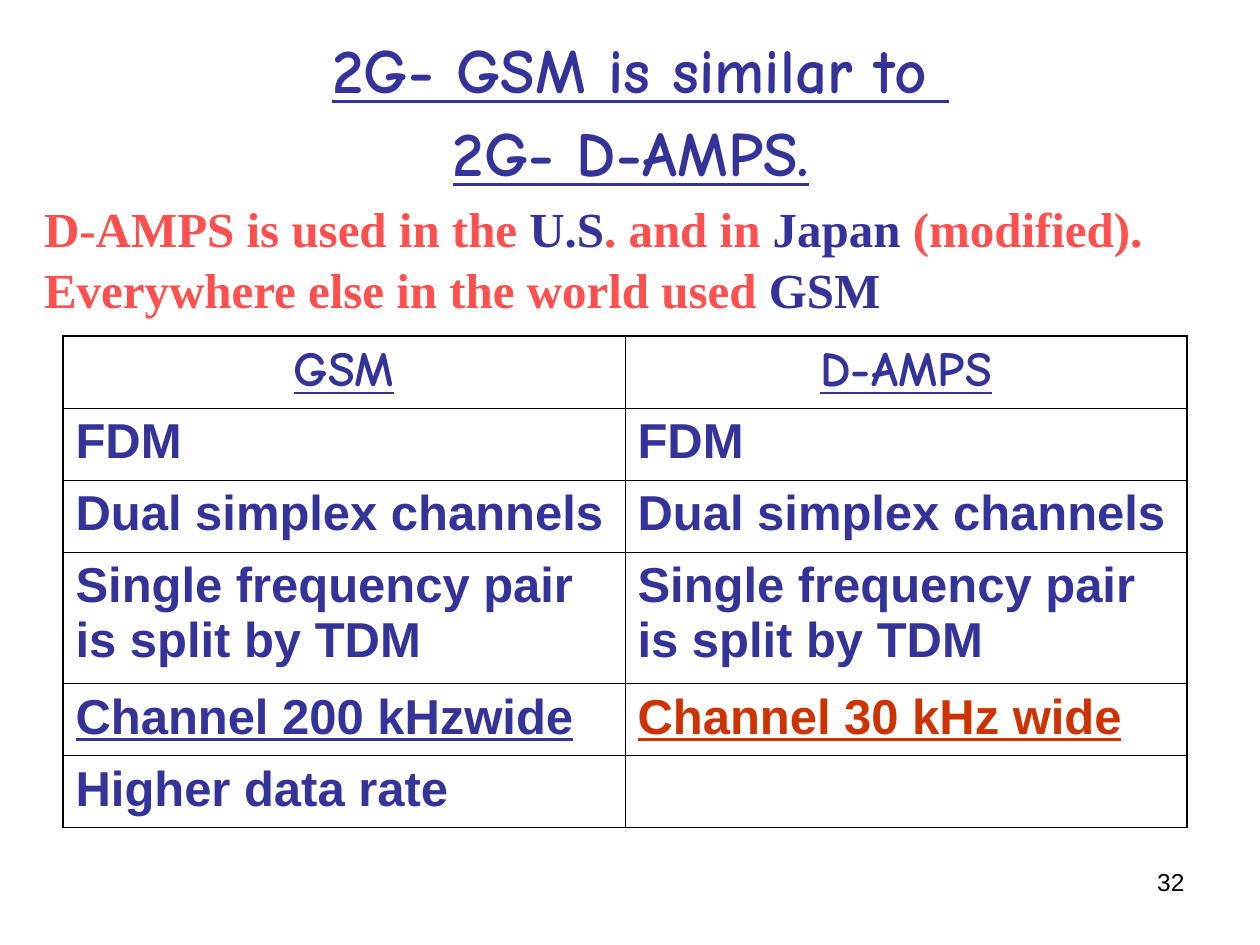
import dataclasses
import typing

import pptx
import pptx.dml.color
import pptx.enum.text
import pptx.oxml
import pptx.oxml.ns
import pptx.util

Cm = pptx.util.Cm
Align = pptx.enum.text.PP_ALIGN
COLOURS = {"navy": "333399", "coral": "FF5050", "rust": "CC3300", "black": "000000"}
OUTER_LINE, INNER_LINE = 1.08, 0.45
ROW_HEIGHTS = (1.45, 1.45, 1.45, 2.65, 1.45, 1.45)
COLUMN_WIDTH = 11.33


@dataclasses.dataclass(frozen=True)
class Span:
    text: str
    colour: str = "navy"
    name: str = "Arial"
    size: float = 28
    bold: bool = True
    underline: bool = False


def heading(text: str, size: float = 28) -> Span:
    return Span(text, name="Comic Neue", size=size, underline=True)


def serif(text: str, colour: str) -> Span:
    return Span(text, colour, "Times New Roman")


ROWS = (
    (heading("GSM"), heading("D-AMPS")),
    (Span("FDM "), Span("FDM ")),
    (Span("Dual simplex channels"), Span("Dual simplex channels")),
    (Span("Single frequency pair is split by TDM"),
     Span("Single frequency pair is split by TDM")),
    (Span("Channel 200 kHzwide", underline=True),
     Span("Channel 30 kHz wide", "rust", underline=True)),
    (Span("Higher data rate"), None),
)


def write_spans(para: typing.Any, spans: typing.Iterable[Span], **layout: typing.Any) -> None:
    for key, value in layout.items():
        setattr(para, key, value)
    for span in spans:
        for index, line in enumerate(span.text.split("\n")):
            if index:
                para.add_line_break()
            run = para.add_run()
            run.text = line
            formats = {"name": span.name, "size": pptx.util.Pt(span.size),
                       "bold": span.bold, "underline": span.underline}
            for key, value in formats.items():
                setattr(run.font, key, value)
            run.font.color.rgb = pptx.dml.color.RGBColor.from_string(COLOURS[span.colour])


def prepare_frame(box: typing.Any, anchor: typing.Any) -> typing.Any:
    formats = {"word_wrap": True, "auto_size": pptx.enum.text.MSO_AUTO_SIZE.NONE,
               "vertical_anchor": anchor}
    for key, value in formats.items():
        setattr(box.text_frame, key, value)
    return box.text_frame.paragraphs[0]


def add_text(page: typing.Any, place: tuple, spans: typing.Iterable[Span],
             **layout: typing.Any) -> None:
    box = page.shapes.add_textbox(*map(Cm, place))
    para = prepare_frame(box, pptx.enum.text.MSO_ANCHOR.TOP)
    write_spans(para, spans, **layout)


def set_borders(cell: typing.Any, row: int, column: int) -> None:
    outer_sides = {"lnL": column == 0, "lnR": column == 1,
                   "lnT": row == 0, "lnB": row == len(ROWS) - 1}
    properties = cell._tc.get_or_add_tcPr()
    for position, (side, outer) in enumerate(outer_sides.items()):
        width = pptx.util.Pt(OUTER_LINE if outer else INNER_LINE)
        properties.insert(position, pptx.oxml.parse_xml(
            f'<a:{side} {pptx.oxml.ns.nsdecls("a")} w="{int(width)}"><a:solidFill>'
            f'<a:srgbClr val="{COLOURS["black"]}"/></a:solidFill></a:{side}>'))


def add_comparison(page: typing.Any) -> None:
    frame = page.shapes.add_table(len(ROWS), 2, Cm(1.27), Cm(6.78),
                                  Cm(2 * COLUMN_WIDTH), Cm(sum(ROW_HEIGHTS)))
    table = frame.table
    table.first_row = table.horz_banding = False
    for column in table.columns:
        column.width = Cm(COLUMN_WIDTH)
    for row, (height, spans) in enumerate(zip(ROW_HEIGHTS, ROWS)):
        table.rows[row].height = Cm(height)
        for column, span in enumerate(spans):
            cell = table.cell(row, column)
            cell.fill.background()
            set_borders(cell, row, column)
            if span:
                write_spans(cell.text_frame.paragraphs[0], [span],
                            alignment=Align.LEFT if row else Align.CENTER,
                            space_before=pptx.util.Pt(7))


def main() -> None:
    deck = pptx.Presentation()
    deck.slide_width, deck.slide_height = Cm(25.4), Cm(19.05)
    page = deck.slides.add_slide(deck.slide_layouts[5])

    title = page.shapes.title
    places = zip(("left", "top", "width", "height"), (2.12, 0.64, 21.59, 3.18))
    for key, value in places:
        setattr(title, key, Cm(value))
    para = prepare_frame(title, pptx.enum.text.MSO_ANCHOR.MIDDLE)
    write_spans(para, [heading("2G- GSM is similar to \n2G- D-AMPS.", 36),
                       Span(" ", size=40)], alignment=Align.CENTER)

    add_comparison(page)
    add_text(page, (0.64, 3.81, 23.7, 2.64), [
        serif("D-AMPS is used in the ", "coral"), serif("U.S", "navy"),
        serif(". and in ", "coral"), serif("Japan", "navy"),
        serif(" (modified). Everywhere else in the world used ", "coral"),
        serif("GSM ", "navy"),
    ], space_before=pptx.util.Pt(17.5), line_spacing=1.05)
    add_text(page, (18.2, 17.35, 5.93, 1.32),
             [Span("32", "black", size=14, bold=False)], alignment=Align.RIGHT)
    deck.save("out.pptx")


main()
